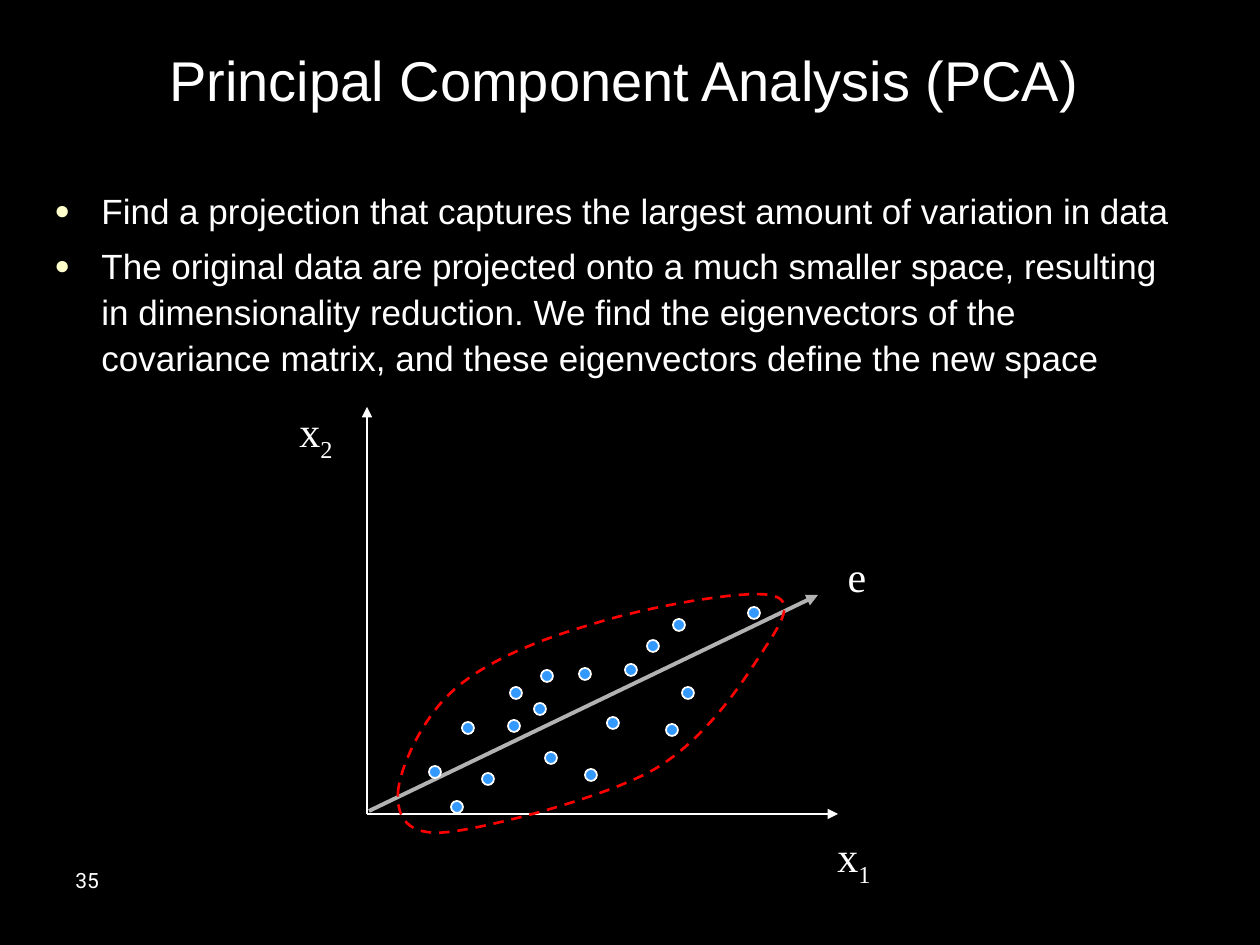
import pptx
import pptx.util
import pptx.dml.color
import pptx.enum.dml
import pptx.enum.shapes
import pptx.enum.text
import pptx.oxml
import pptx.oxml.ns

RGB = pptx.dml.color.RGBColor
BLACK = RGB(0, 0, 0)
WHITE = RGB(0xFF, 0xFF, 0xFF)
CREAM = RGB(0xFF, 0xFF, 0xCC)
GREY = RGB(0xB2, 0xB2, 0xB2)
BLUE = RGB(0x33, 0x99, 0xFF)
RED = RGB(0xFF, 0, 0)

Pt = pptx.util.Pt
ALIGN = pptx.enum.text.PP_ALIGN
ANCHOR = pptx.enum.text.MSO_ANCHOR
SCALE = 914400 / 126  # EMU in one px


def px(n):
    return round(n * SCALE)


def put(obj, form):
    for key, val in form.items():
        setattr(obj, key, val)


def add_xml(node, tag, **attrs):
    child = pptx.oxml.parse_xml(f"<a:{tag} {pptx.oxml.ns.nsdecls('a')}/>")
    for key, val in attrs.items():
        child.set(key, str(val))
    node.append(child)


def add_run(para, text, size, font):
    run = para.add_run()
    run.text = text
    put(run.font, {"size": Pt(size), "name": font})
    run.font.color.rgb = WHITE
    return run


def add_box(slide, box, form):
    frame = slide.shapes.add_textbox(*map(px, box)).text_frame
    put(frame, {"word_wrap": True, **form})
    return frame


def set_line(line, color, width):
    line.color.rgb = color
    line.width = Pt(width)


# Title and page number
def add_title(slide, box, text):
    para = add_box(slide, box, {"vertical_anchor": ANCHOR.MIDDLE}).paragraphs[0]
    para.alignment = ALIGN.CENTER
    add_run(para, text, 32, "Arial")


def add_page(slide, box, text):
    add_run(add_box(slide, box, {}).paragraphs[0], text, 12, "Roboto")


# Bullet list
def add_list(slide, box, items):
    frame = add_box(slide, box, {})
    for i, text in enumerate(items):
        para = frame.add_paragraph() if i else frame.paragraphs[0]
        put(para, {"line_spacing": 1.1, "space_before": Pt(5)})
        props = para._p.get_or_add_pPr()
        props.set("marL", str(px(47)))
        props.set("indent", str(px(-47)))
        add_xml(props, "buClr")
        add_xml(props[-1], "srgbClr", val=CREAM)
        add_xml(props, "buSzPct", val=75000)
        add_xml(props, "buFont", typeface="Arial")
        add_xml(props, "buChar", char="●")
        add_run(para, text, 20, "Arial")


# Parts of the plot
def add_arrow(slide, start, end, color, width):
    kind = pptx.enum.shapes.MSO_CONNECTOR.STRAIGHT
    arrow = slide.shapes.add_connector(kind, *map(px, start + end))
    set_line(arrow.line, color, width)
    add_xml(arrow.line._get_or_add_ln(), "tailEnd", type="triangle")
    add_xml(arrow._element.spPr, "effectLst")


def add_label(slide, box, text, sub=""):
    form = {"vertical_anchor": ANCHOR.MIDDLE, "word_wrap": False}
    para = add_box(slide, box, form).paragraphs[0]
    para.alignment = ALIGN.CENTER
    add_run(para, text, 24, "Times New Roman")
    if sub:
        run = add_run(para, sub, 24, "Times New Roman")
        run._r.get_or_add_rPr().set("baseline", "-25000")


def add_dot(slide, x, y, size=12):
    box = (x - size / 2, y - size / 2, size, size)
    oval = pptx.enum.shapes.MSO_SHAPE.OVAL
    dot = slide.shapes.add_shape(oval, *map(px, box))
    dot.shadow.inherit = False
    dot.fill.solid()
    dot.fill.fore_color.rgb = BLUE
    set_line(dot.line, WHITE, 1)


def trace(start, curves, steps=16):
    """Points along a chain of cubic curves."""
    for a, b, end in curves:
        for i in range(1, steps + 1):
            t = i / steps
            u = 1 - t
            parts = (u**3, 3 * u * u * t, 3 * u * t * t, t**3)
            yield tuple(sum(w * p[k] for w, p in zip(parts, (start, a, b, end)))
                        for k in (0, 1))
        start = end


def add_hull(slide, x, y, start, curves):
    def spot(p):
        return px(x + p[0]), px(y + p[1])

    pen = slide.shapes.build_freeform(*spot(start))
    pen.add_line_segments([spot(p) for p in trace(start, curves)], close=True)
    hull = pen.convert_to_shape()
    hull.shadow.inherit = False
    hull.fill.background()
    set_line(hull.line, RED, 1.5)
    hull.line.dash_style = pptx.enum.dml.MSO_LINE.DASH


# Positions inside the plot, from its top left corner
DOTS = [
    (135, 366), (157, 401), (168, 322), (188, 373), (214, 320), (216, 287),
    (240, 303), (247, 270), (251, 352), (285, 268), (291, 369), (313, 317),
    (331, 264), (353, 240), (379, 219), (372, 324), (388, 287), (454, 207),
]
HULL = [
    ((99, 364), (122, 311), (155, 283)),
    ((188, 254), (241, 233), (293, 218)),
    ((346, 201), (442, 184), (470, 189)),
    ((498, 194), (480, 219), (461, 248)),
    ((442, 277), (407, 332), (355, 363)),
    ((304, 392), (191, 421), (149, 426)),
    ((106, 431), (97, 410), (98, 387)),
]


def add_plot(slide, x, y):
    zero = (x + 67, y + 408)
    add_arrow(slide, zero, (x + 67, y + 1), WHITE, 1)
    add_arrow(slide, zero, (x + 538, y + 408), WHITE, 1)
    add_arrow(slide, (x + 69, y + 405), (x + 518, y + 189), GREY, 2.25)
    add_hull(slide, x, y, HULL[-1][-1], HULL)
    for dx, dy in DOTS:
        add_dot(slide, x + dx, y + dy)
    add_label(slide, (x - 13, y - 7, 58, 71), "x", "2")
    add_label(slide, (x + 525, y + 418, 58, 71), "x", "1")
    add_label(slide, (x + 535, y + 138, 44, 63), "e")


def main():
    deck = pptx.Presentation()
    put(deck, {"slide_width": px(1260), "slide_height": px(945)})
    slide = deck.slides.add_slide(deck.slide_layouts[6])
    slide.background.fill.solid()
    slide.background.fill.fore_color.rgb = BLACK

    add_page(slide, (63, 861, 294, 63), "35")
    add_plot(slide, 300, 406)
    add_title(slide, (21, 21, 1207, 116), "Principal Component Analysis (PCA)")
    add_list(slide, (42, 179, 1155, 221), [
        "Find a projection that captures the largest amount of variation in data",
        "The original data are projected onto a much smaller space, resulting "
        "in dimensionality reduction. We find the eigenvectors of the "
        "covariance matrix, and these eigenvectors define the new space",
    ])
    deck.save("out.pptx")


if __name__ == "__main__":
    main()
